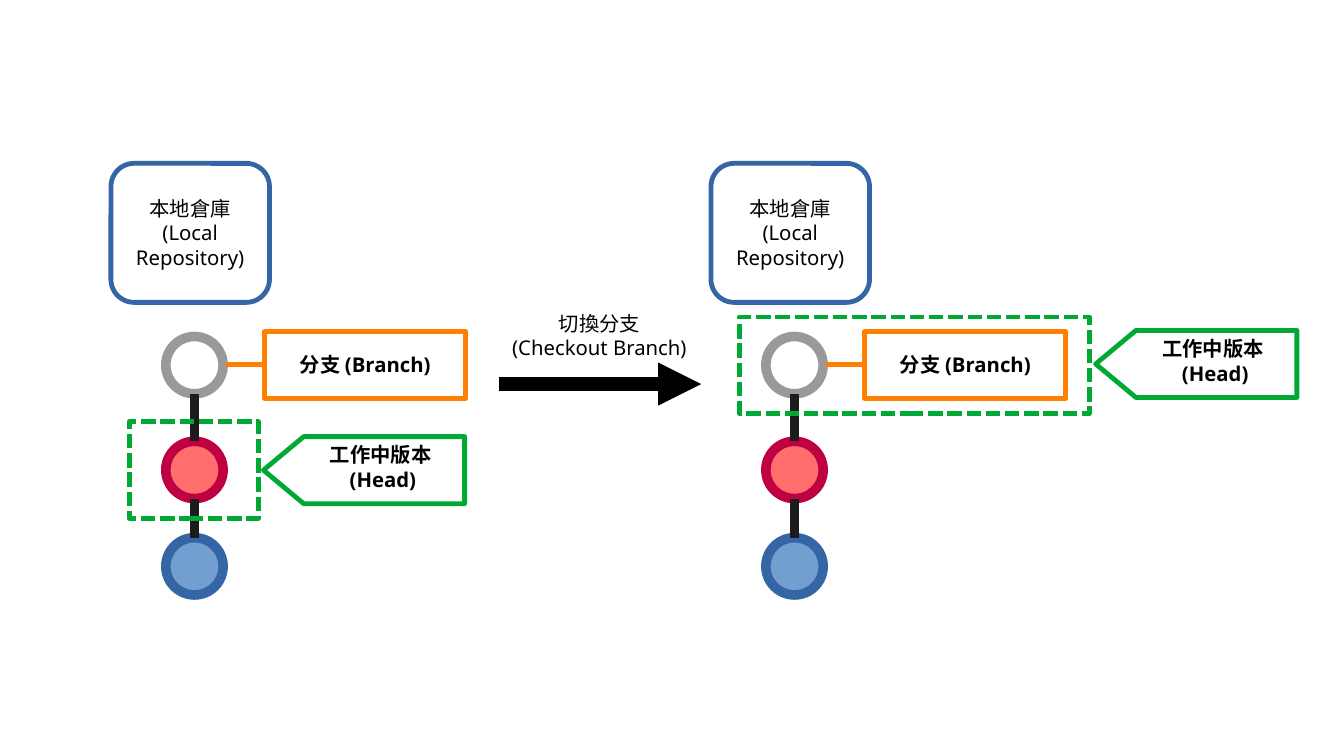
"""Build a slide showing how checking out a branch moves the working head."""
import pptx
import pptx.dml.color
import pptx.enum.dml
import pptx.enum.shapes
import pptx.enum.text
import pptx.oxml.ns
import pptx.util
from lxml import etree

Pt = pptx.util.Pt
SHAPE = pptx.enum.shapes.MSO_SHAPE
ANCHOR = pptx.enum.text.MSO_ANCHOR

REPOSITORY = "本地倉庫\n(Local Repository)"
BRANCH = "分支 (Branch)"
HEAD = "工作中版本 \v(Head)"
CHECKOUT = "切換分支\v(Checkout Branch)"
COMMITS = [(198.7, "white", "gray"), (260.6, "pink", "crimson"), (317.5, "sky", "blue")]
STATES = [
    {"left": 65.5, "frame": (10.8, 249.1, 76.3, 56.9), "head": (90, 257.8)},
    {"left": 419.75, "frame": (16.8, 187.2, 206.6, 56.9), "head": (227.1, 195.1)},
]
THEME = {
    "font": "Noto Sans", "size": 12, "outline": 2.83, "thick": 5.67, "arrow": 8.5,
    "white": "FFFFFF", "gray": "999999", "pink": "FF6D6D", "crimson": "BF0041",
    "sky": "729FCF", "blue": "3465A4", "ink": "1C1C1C", "black": "000000",
    "green": "00A933", "orange": "FF8000",
}
COMMIT_SIZE = 33.84
TAG_WIDTH, TAG_HEIGHT = 118.8, 39.6


def color(name):
    return pptx.dml.color.RGBColor.from_string(THEME[name])


def add_outline(slide, kind, box, line, fill=None, weight="outline"):
    shape = slide.shapes.add_shape(kind, *map(Pt, box))
    shape.shadow.inherit = False
    if fill:
        shape.fill.solid()
        shape.fill.fore_color.rgb = color(fill)
    else:
        shape.fill.background()
    shape.line.color.rgb = color(line)
    shape.line.width = Pt(THEME[weight])
    return shape


def write(shape, text, bold=False, wrap=True, anchor=ANCHOR.MIDDLE, margins=(8.5, 5)):
    frame = shape.text_frame
    frame.text = text
    frame.word_wrap = wrap
    frame.vertical_anchor = anchor
    frame.margin_left = frame.margin_right = Pt(margins[0])
    frame.margin_top = frame.margin_bottom = Pt(margins[1])
    for paragraph in frame.paragraphs:
        paragraph.alignment = pptx.enum.text.PP_ALIGN.CENTER
        paragraph.font.name = THEME["font"]
        paragraph.font.size = Pt(THEME["size"])
        paragraph.font.bold = bold
        paragraph.font.color.rgb = color("black")


def add_line(slide, start, end, line, weight):
    straight = pptx.enum.shapes.MSO_CONNECTOR.STRAIGHT
    connector = slide.shapes.add_connector(straight, *map(Pt, start + end))
    connector.line.color.rgb = color(line)
    connector.line.width = Pt(THEME[weight])
    etree.SubElement(connector._element.spPr, pptx.oxml.ns.qn("a:effectLst"))
    return connector


def add_head(slide, left, top):
    turned_left = left + (TAG_WIDTH - TAG_HEIGHT) / 2
    turned_top = top - (TAG_WIDTH - TAG_HEIGHT) / 2
    box = (turned_left, turned_top, TAG_HEIGHT, TAG_WIDTH)
    tag = add_outline(slide, SHAPE.FLOWCHART_OFFPAGE_CONNECTOR, box, "green")
    tag.rotation = 90
    label = slide.shapes.add_textbox(Pt(left + 31), Pt(top), Pt(79.2), Pt(TAG_HEIGHT))
    write(label, HEAD, bold=True, anchor=ANCHOR.TOP, margins=(0, 3.6))


def add_state(slide, state):
    left = state["left"]
    commit_left = left + 32.4
    center = commit_left + COMMIT_SIZE / 2
    for top, fill, line in COMMITS:
        box = (commit_left, top, COMMIT_SIZE, COMMIT_SIZE)
        add_outline(slide, SHAPE.OVAL, box, line, fill, "thick")
    for newer, older in zip(COMMITS, COMMITS[1:]):
        add_line(slide, (center, older[0]), (center, newer[0] + COMMIT_SIZE), "ink", "thick")

    repository = add_outline(slide, SHAPE.ROUNDED_RECTANGLE, (left, 96.5, 93.6, 82.1), "blue", "white")
    write(repository, REPOSITORY)
    add_head(slide, left + state["head"][0], state["head"][1])

    offset, top, width, height = state["frame"]
    frame = add_outline(slide, SHAPE.RECTANGLE, (left + offset, top, width, height), "green")
    frame.line.dash_style = pptx.enum.dml.MSO_LINE.SQUARE_DOT
    dash = frame.line._ln.find(pptx.oxml.ns.qn("a:prstDash"))
    dash.set("val", "sysDash")

    branch_left, branch_top = left + 90.7, 195.6
    middle = branch_top + TAG_HEIGHT / 2
    branch_box = (branch_left, branch_top, TAG_WIDTH, TAG_HEIGHT)
    branch = add_outline(slide, SHAPE.RECTANGLE, branch_box, "orange")
    write(branch, BRANCH, bold=True, wrap=False)
    link = add_line(slide, (left + 67.7, middle), (branch_left, middle), "orange", "outline")
    link.end_connect(branch, 1)


def add_checkout(slide):
    arrow = add_line(slide, (294.5, 226.8), (414, 226.8), "black", "arrow")
    tail = etree.SubElement(arrow.line._ln, pptx.oxml.ns.qn("a:tailEnd"))
    tail.set("type", "triangle")
    caption = slide.shapes.add_textbox(Pt(294.5), Pt(169.9), Pt(118.8), Pt(56.2))
    write(caption, CHECKOUT, margins=(0, 3.6))


def main():
    presentation = pptx.Presentation()
    presentation.slide_width = Pt(793.44)
    presentation.slide_height = Pt(446.4)
    slide = presentation.slides.add_slide(presentation.slide_layouts[6])
    for state in STATES:
        add_state(slide, state)
    add_checkout(slide)
    presentation.save("out.pptx")


if __name__ == "__main__":
    main()
